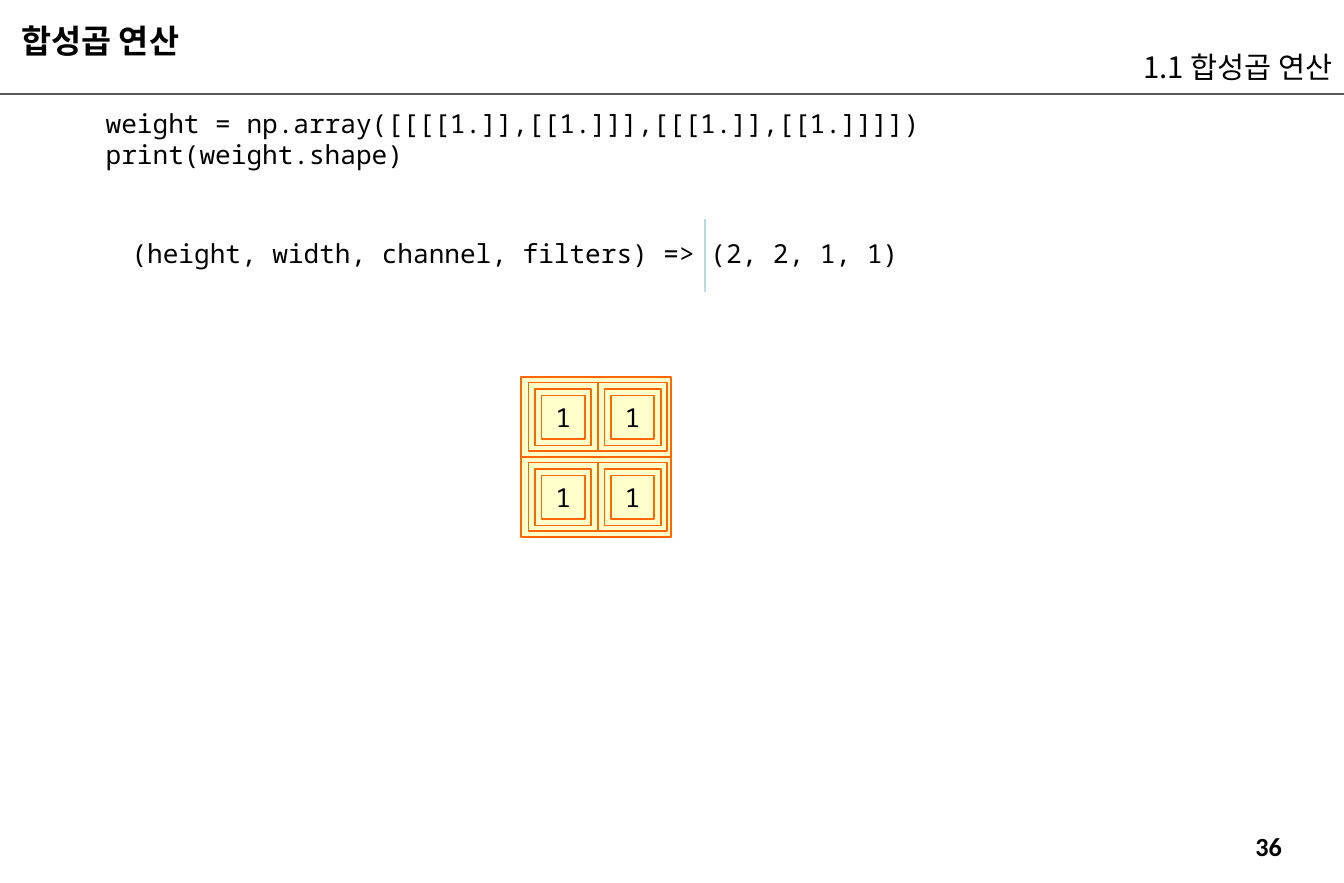
"""Build the slide that shows the shape of a convolution weight array."""
from dataclasses import dataclass

from lxml import etree
from pptx import Presentation
from pptx import util as u
from pptx.dml.color import RGBColor
from pptx.enum import shapes, text
from pptx.oxml.ns import qn


@dataclass(frozen=True)
class Theme:
    ink: str = "000000"
    rule: str = "595959"
    divider: str = "B6DCDF"
    cell_fill: str = "FFFFCC"
    cell_line: str = "FF6600"
    heading: str = "Calibri"
    korean: str = "Noto Sans CJK KR"
    mono: str = "Noto Sans Mono"
    title_size: int = 20
    section_size: int = 18
    body_size: int = 16


@dataclass(frozen=True)
class Box:
    left: float
    top: float
    width: float
    height: float

    def emu(self) -> tuple:
        return tuple(u.Inches(v) for v in (self.left, self.top, self.width, self.height))


@dataclass(frozen=True)
class Label:
    box: Box
    lines: tuple
    font: str
    size: int
    bold: bool = False
    align: text.PP_ALIGN = text.PP_ALIGN.LEFT
    anchor: text.MSO_ANCHOR = text.MSO_ANCHOR.TOP
    inset: float = 0.05
    fit: text.MSO_AUTO_SIZE = text.MSO_AUTO_SIZE.NONE


@dataclass(frozen=True)
class Rule:
    start: tuple
    end: tuple
    color: str
    width: float


T = Theme()
CENTER, RIGHT = text.PP_ALIGN.CENTER, text.PP_ALIGN.RIGHT
BOTTOM, MIDDLE = text.MSO_ANCHOR.BOTTOM, text.MSO_ANCHOR.MIDDLE
GROW = text.MSO_AUTO_SIZE.SHAPE_TO_FIT_TEXT

TITLE = Label(Box(0.08, 0.09, 6.48, 0.44), ("합성곱 연산",), T.heading,
              T.title_size, bold=True, anchor=BOTTOM, inset=0.02)
LABELS = (
    Label(Box(8.81, 7, 3.94, 0.24), ("36",), T.heading, T.body_size, bold=True, align=CENTER),
    Label(Box(6.11, 0.3, 5.31, 0.44), ("1.1 합성곱 연산",), T.korean,
          T.section_size, align=RIGHT, anchor=BOTTOM, inset=0.02),
    Label(Box(1.02, 1.97, 6.8, 0.37),
          ("(height, width, channel, filters) => (2, 2, 1, 1)",),
          T.mono, T.body_size, fit=GROW),
    Label(Box(0.8, 0.86, 7.18, 0.64),
          ("weight = np.array([[[[1.]],[[1.]]],[[[1.]],[[1.]]]])", "print(weight.shape)"),
          T.mono, T.body_size, fit=GROW),
)
RULES = (
    Rule((0, 0.8), (11.42, 0.8), T.rule, 1.5),
    Rule((5.99, 1.86), (5.99, 2.48), T.divider, 0.75),
)
WEIGHTS = (("1", "1"), ("1", "1"))
FRAME = Box(4.43, 3.2, 1.27, 0.68)
CELL = Box(4.49, 3.25, 0.59, 0.58)
NEST_STEP = 0.055


def write(sp, label: Label) -> None:
    tf = sp.text_frame
    tf.word_wrap = True
    tf.auto_size = label.fit
    tf.vertical_anchor = label.anchor
    tf.margin_left = tf.margin_right = u.Inches(0.1)
    tf.margin_top = tf.margin_bottom = u.Inches(label.inset)
    for i, line in enumerate(label.lines):
        p = tf.add_paragraph() if i else tf.paragraphs[0]
        p.alignment = label.align
        r = p.add_run()
        r.text = line
        r.font.size = u.Pt(label.size)
        r.font.bold = label.bold
        r.font.color.rgb = RGBColor.from_string(T.ink)
        r.font.name = label.font
        etree.SubElement(r.font._element, qn("a:ea"), typeface=T.korean)


def add_title(s, label: Label) -> None:
    sp = s.shapes.title
    sp.left, sp.top, sp.width, sp.height = label.box.emu()
    write(sp, label)


def add_label(s, label: Label) -> None:
    write(s.shapes.add_textbox(*label.box.emu()), label)


def add_rule(s, rule: Rule) -> None:
    ends = [u.Inches(v) for v in rule.start + rule.end]
    cx = s.shapes.add_connector(shapes.MSO_CONNECTOR.STRAIGHT, *ends)
    cx.line.color.rgb = RGBColor.from_string(rule.color)
    cx.line.width = u.Pt(rule.width)
    etree.SubElement(cx._element.spPr, qn("a:effectLst"))


def add_rect(s, box: Box):
    sp = s.shapes.add_shape(shapes.MSO_SHAPE.RECTANGLE, *box.emu())
    sp.shadow.inherit = False
    sp.fill.solid()
    sp.fill.fore_color.rgb = RGBColor.from_string(T.cell_fill)
    sp.line.color.rgb = RGBColor.from_string(T.cell_line)
    sp.line.width = u.Pt(1)
    return sp


def add_weight(s, row: int, col: int, value: str) -> None:
    left, top = CELL.left + col * CELL.width, CELL.top + row * FRAME.height
    add_rect(s, Box(left, top, CELL.width, CELL.height))
    for depth, side in ((1, 0.48), (2, 0.37)):
        box = Box(left + depth * NEST_STEP, top + depth * NEST_STEP, side, side)
        sp = add_rect(s, box)
    write(sp, Label(box, (value,), T.mono, T.body_size, align=CENTER, anchor=MIDDLE))


def main() -> None:
    prs = Presentation()
    prs.slide_width, prs.slide_height = u.Inches(11.42), u.Inches(7.5)
    s = prs.slides.add_slide(prs.slide_layouts[5])
    add_title(s, TITLE)
    for label in LABELS:
        add_label(s, label)
    for rule in RULES:
        add_rule(s, rule)
    for row, values in enumerate(WEIGHTS):
        add_rect(s, Box(FRAME.left, FRAME.top + row * FRAME.height, FRAME.width, FRAME.height))
        for col, value in enumerate(values):
            add_weight(s, row, col, value)
    prs.save("out.pptx")


if __name__ == "__main__":
    main()
